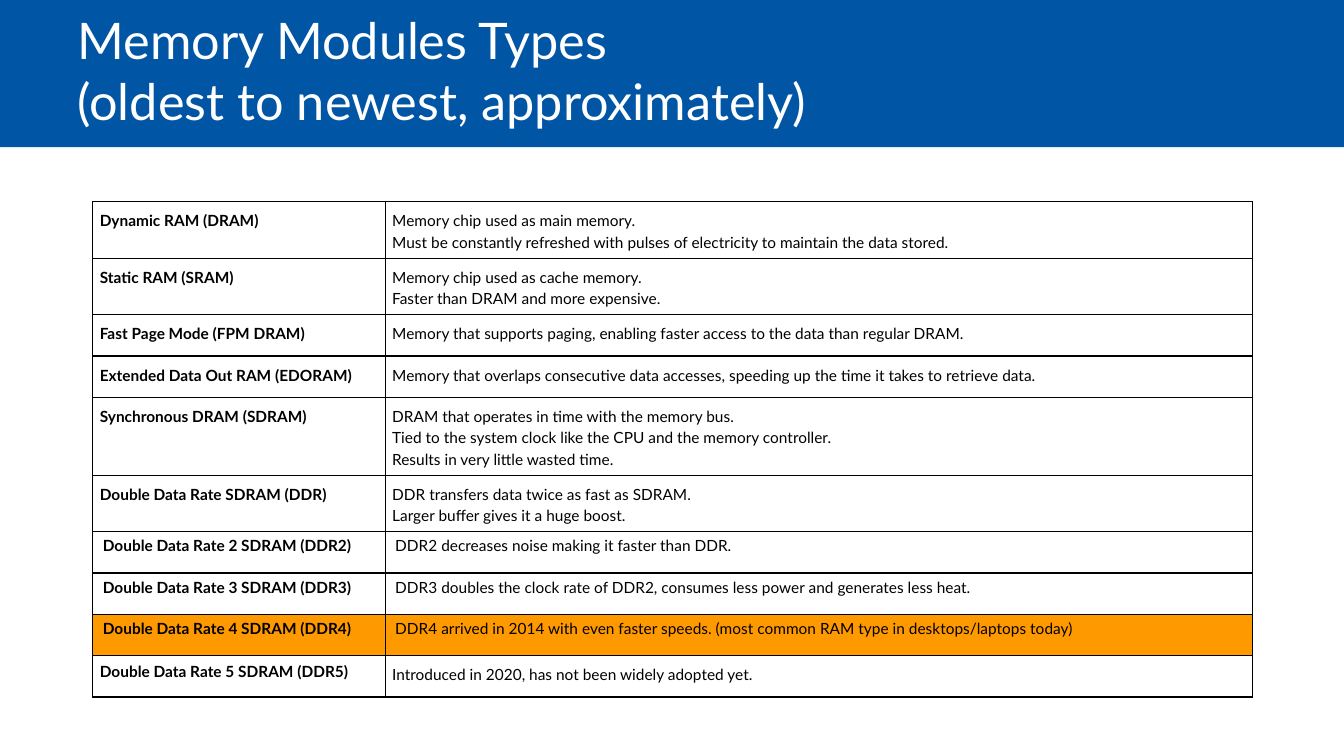
from dataclasses import dataclass

from lxml.etree import SubElement
from pptx import Presentation
from pptx.dml.color import RGBColor
from pptx.enum.shapes import MSO_SHAPE as Shape
from pptx.enum.text import MSO_ANCHOR as Anchor
from pptx.oxml.ns import qn
from pptx.slide import Slide
from pptx.table import _Cell as Cell
from pptx.util import Inches, Pt

BLUE = RGBColor(0x00, 0x55, 0xA4)
ORANGE = RGBColor(0xFF, 0x99, 0x00)
BLACK = RGBColor(0x00, 0x00, 0x00)
WHITE = RGBColor(0xFF, 0xFF, 0xFF)
FONT = "Lato"

PAGE_WIDTH, PAGE_HEIGHT = Inches(13.33), Inches(7.5)
TABLE_LEFT, TABLE_TOP = Inches(0.92), Inches(2)
COLUMNS = (Inches(2.9), Inches(8.6))
ROW_MIN, LINE_HEIGHT = Inches(0.41), Inches(0.21)


@dataclass(frozen=True)
class CellStyle:
    side: float
    top: float
    spacing: float


SPACED = CellStyle(side=0.07, top=0.07, spacing=1.15)
COMPACT = CellStyle(side=0.1, top=0.05, spacing=1.0)
TIGHT = CellStyle(side=0.07, top=0.07, spacing=1.0)


@dataclass(frozen=True)
class Memory:
    name: str
    lines: tuple[str, ...]
    name_style: CellStyle = SPACED
    text_style: CellStyle = SPACED
    fill: RGBColor = WHITE


MEMORIES = (
    Memory("Dynamic RAM (DRAM)", (
        "Memory chip used as main memory.",
        "Must be constantly refreshed with pulses of electricity to maintain the data stored.")),
    Memory("Static RAM (SRAM)", (
        "Memory chip used as cache memory.",
        "Faster than DRAM and more expensive.")),
    Memory("Fast Page Mode (FPM DRAM)", (
        "Memory that supports paging, enabling faster access to the data than regular DRAM.",)),
    Memory("Extended Data Out RAM (EDORAM)", (
        "Memory that overlaps consecutive data accesses, "
        "speeding up the time it takes to retrieve data.",)),
    Memory("Synchronous DRAM (SDRAM)", (
        "DRAM that operates in time with the memory bus.",
        "Tied to the system clock like the CPU and the memory controller.",
        "Results in very little wasted time.")),
    Memory("Double Data Rate SDRAM (DDR)", (
        "DDR transfers data twice as fast as SDRAM.",
        "Larger buffer gives it a huge boost.")),
    Memory("Double Data Rate 2 SDRAM (DDR2)", (
        "DDR2 decreases noise making it faster than DDR.",), COMPACT, COMPACT),
    Memory("Double Data Rate 3 SDRAM (DDR3)", (
        "DDR3 doubles the clock rate of DDR2, consumes less power and generates less heat.",),
        COMPACT, COMPACT),
    Memory("Double Data Rate 4 SDRAM (DDR4)", (
        "DDR4 arrived in 2014 with even faster speeds. "
        "(most common RAM type in desktops/laptops today)",), COMPACT, COMPACT, ORANGE),
    Memory("Double Data Rate 5 SDRAM (DDR5)", (
        "Introduced in 2020, has not been widely adopted yet.",), TIGHT),
)


def add_header(page: Slide) -> None:
    band = page.shapes.add_shape(Shape.RECTANGLE, 0, 0, PAGE_WIDTH, Inches(1.46))
    band.shadow.inherit = False
    band.fill.solid()
    band.fill.fore_color.rgb = BLUE
    band.line.fill.background()

    title = page.shapes.add_textbox(Inches(0.67), 0, Inches(11.75), Inches(1.34))
    frame = title.text_frame
    frame.word_wrap = True
    frame.vertical_anchor = Anchor.BOTTOM
    para = frame.paragraphs[0]
    para.text = "Memory Modules Types\v(oldest to newest, approximately)"
    para.font.name, para.font.size = FONT, Pt(36)
    para.font.color.rgb = WHITE


def add_borders(cell: Cell) -> None:
    properties = cell._tc.get_or_add_tcPr()
    for side in ("a:lnL", "a:lnR", "a:lnT", "a:lnB"):
        line = SubElement(properties, qn(side), w=str(Pt(1)))
        paint = SubElement(line, qn("a:solidFill"))
        SubElement(paint, qn("a:srgbClr"), val=str(BLACK))


def fill_cell(cell: Cell, lines: tuple[str, ...], style: CellStyle,
              fill: RGBColor, bold: bool) -> None:
    add_borders(cell)
    cell.fill.solid()
    cell.fill.fore_color.rgb = fill
    cell.margin_left = cell.margin_right = Inches(style.side)
    cell.margin_top = cell.margin_bottom = Inches(style.top)
    for index, line in enumerate(lines):
        frame = cell.text_frame
        para = frame.add_paragraph() if index else frame.paragraphs[0]
        para.text = line
        para.line_spacing = style.spacing
        para.font.name, para.font.size, para.font.bold = FONT, Pt(11), bold
        para.font.color.rgb = BLACK


def add_memory_table(page: Slide) -> None:
    heights = [max(ROW_MIN, Inches(0.14) + LINE_HEIGHT * len(memory.lines))
               for memory in MEMORIES]
    table = page.shapes.add_table(len(MEMORIES), len(COLUMNS), TABLE_LEFT, TABLE_TOP,
                                  sum(COLUMNS), sum(heights)).table
    table.first_row = table.horz_banding = False
    for column, width in zip(table.columns, COLUMNS):
        column.width = width
    for row, height, memory in zip(table.rows, heights, MEMORIES):
        row.height = height
        name, text = row.cells
        fill_cell(name, (memory.name,), memory.name_style, memory.fill, bold=True)
        fill_cell(text, memory.lines, memory.text_style, memory.fill, bold=False)


def main() -> None:
    deck = Presentation()
    deck.slide_width, deck.slide_height = PAGE_WIDTH, PAGE_HEIGHT
    page = deck.slides.add_slide(deck.slide_layouts[6])
    add_header(page)
    add_memory_table(page)
    deck.save("out.pptx")


if __name__ == "__main__":
    main()
